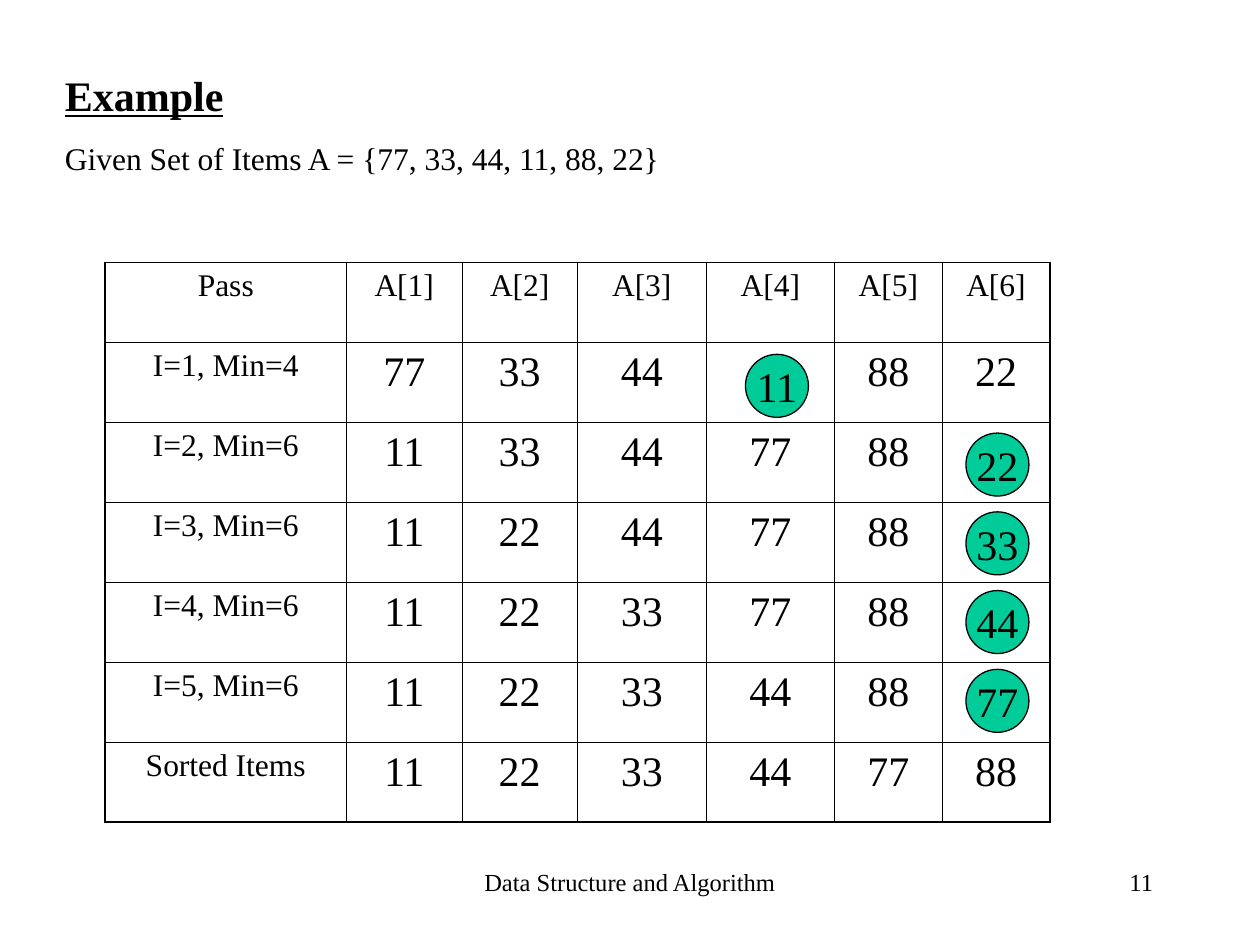
from dataclasses import dataclass

from lxml.etree import SubElement
from pptx import Presentation
from pptx.dml.color import RGBColor
from pptx.enum.shapes import MSO_SHAPE
from pptx.enum.text import MSO_ANCHOR, PP_ALIGN
from pptx.oxml.ns import qn
from pptx.shapes.group import GroupShape
from pptx.slide import Slide
from pptx.table import _Cell
from pptx.text.text import _Paragraph
from pptx.util import Emu, Inches, Pt


@dataclass(frozen=True)
class Theme:
    font: str = "Times New Roman"
    ink: str = "000000"
    marker: str = "00CC99"
    large: int = 24
    body: int = 18
    footer: int = 14
    inner_border: float = 0.45
    outer_border: float = 1.08
    marker_border: float = 0.75


@dataclass(frozen=True)
class Line:
    text: str
    size: int
    align: PP_ALIGN = PP_ALIGN.LEFT
    space_before: float = 0
    heading: bool = False


@dataclass(frozen=True)
class TextBlock:
    left: float
    top: float
    width: float
    height: float
    lines: tuple[Line, ...]


@dataclass(frozen=True)
class Minimum:
    """The smallest remaining item, circled in the row of its pass."""
    left: float
    value: str


THEME = Theme()
TABLE_LEFT, TABLE_TOP = 10, 25
COLUMN_UNITS = (23, 11, 11, 12.25, 12.25, 10.25, 10.25)
ROW_UNITS = 7.62
MARKER_TOP, MARKER_STEP, MARKER_SIZE = 33.75, 7.5, 6

PASSES = (
    ("Pass", "A[1]", "A[2]", "A[3]", "A[4]", "A[5]", "A[6]"),
    ("I=1, Min=4", "77", "33", "44", "", "88", "22"),
    ("I=2, Min=6", "11", "33", "44", "77", "88", ""),
    ("I=3, Min=6", "11", "22", "44", "77", "88", ""),
    ("I=4, Min=6", "11", "22", "33", "77", "88", ""),
    ("I=5, Min=6", "11", "22", "33", "44", "88", ""),
    ("Sorted Items", "11", "22", "33", "44", "77", "88"),
)
MINIMA = (Minimum(71, "11"),) + tuple(Minimum(92, v) for v in ("22", "33", "44", "77"))
TEXT_BLOCKS = (
    TextBlock(5, 6, 92, 11.5, (
        Line("Example", THEME.large, space_before=15, heading=True),
        Line("Given Set of Items A = {77, 33, 44, 11, 88, 22}", THEME.body, space_before=11.2),
    )),
    TextBlock(41, 82, 38, 6, (
        Line("Data Structure and Algorithm", THEME.footer, PP_ALIGN.CENTER),)),
    TextBlock(86, 82, 25, 6, (Line("11", THEME.footer, PP_ALIGN.RIGHT),)),
)


def units(count: float) -> Emu:
    """Length on the slide's grid of 120 columns by 90 rows."""
    return Inches(count / 12)


def write(paragraph: _Paragraph, line: Line) -> None:
    paragraph.text = line.text
    paragraph.alignment = line.align
    paragraph.space_before = Pt(line.space_before)
    for run in paragraph.runs:
        run.font.name = THEME.font
        run.font.size = Pt(line.size)
        run.font.color.rgb = RGBColor.from_string(THEME.ink)
        run.font.bold = run.font.underline = line.heading


def add_text(slide: Slide, block: TextBlock) -> None:
    frame = slide.shapes.add_textbox(
        units(block.left), units(block.top), units(block.width), units(block.height)
    ).text_frame
    frame.word_wrap = True
    for index, line in enumerate(block.lines):
        write(frame.add_paragraph() if index else frame.paragraphs[0], line)


def set_borders(cell: _Cell, outer_sides: dict[str, bool]) -> None:
    properties = cell._tc.get_or_add_tcPr()
    for side, is_outer in outer_sides.items():
        width = THEME.outer_border if is_outer else THEME.inner_border
        border = SubElement(properties, qn(f"a:ln{side}"), w=str(Pt(width)))
        fill = SubElement(border, qn("a:solidFill"))
        SubElement(fill, qn("a:srgbClr"), val=THEME.ink)


def add_pass_table(slide: Slide) -> None:
    last_row, last_column = len(PASSES) - 1, len(COLUMN_UNITS) - 1
    table = slide.shapes.add_table(
        len(PASSES), len(COLUMN_UNITS), units(TABLE_LEFT), units(TABLE_TOP),
        units(sum(COLUMN_UNITS)), units(ROW_UNITS * len(PASSES)),
    ).table
    table.first_row = table.horz_banding = False
    for column, width in zip(table.columns, COLUMN_UNITS):
        column.width = units(width)
    for r, items in enumerate(PASSES):
        table.rows[r].height = units(ROW_UNITS)
        for c, item in enumerate(items):
            cell = table.cell(r, c)
            is_label = r == 0 or c == 0
            size, space = (THEME.body, 4.5) if is_label else (THEME.large, 6)
            write(cell.text_frame.paragraphs[0], Line(item, size, PP_ALIGN.CENTER, space))
            set_borders(cell, {"L": c == 0, "R": c == last_column,
                               "T": r == 0, "B": r == last_row})
            cell.fill.background()


def add_minimum(group: GroupShape, minimum: Minimum, top: float) -> None:
    circle = group.shapes.add_shape(
        MSO_SHAPE.OVAL, units(minimum.left), units(top), units(MARKER_SIZE), units(MARKER_SIZE)
    )
    circle.shadow.inherit = False
    circle.fill.solid()
    circle.fill.fore_color.rgb = RGBColor.from_string(THEME.marker)
    circle.line.color.rgb = RGBColor.from_string(THEME.ink)
    circle.line.width = Pt(THEME.marker_border)
    circle.text_frame.word_wrap = False
    circle.text_frame.vertical_anchor = MSO_ANCHOR.MIDDLE
    write(circle.text_frame.paragraphs[0], Line(minimum.value, THEME.large, PP_ALIGN.CENTER))


def main() -> None:
    presentation = Presentation()
    presentation.slide_width, presentation.slide_height = units(120), units(90)
    slide = presentation.slides.add_slide(presentation.slide_layouts[6])
    add_pass_table(slide)
    minima_group = slide.shapes.add_group_shape()
    for index, minimum in enumerate(MINIMA):
        add_minimum(minima_group, minimum, MARKER_TOP + index * MARKER_STEP)
    for block in TEXT_BLOCKS:
        add_text(slide, block)
    presentation.save("out.pptx")


if __name__ == "__main__":
    main()
